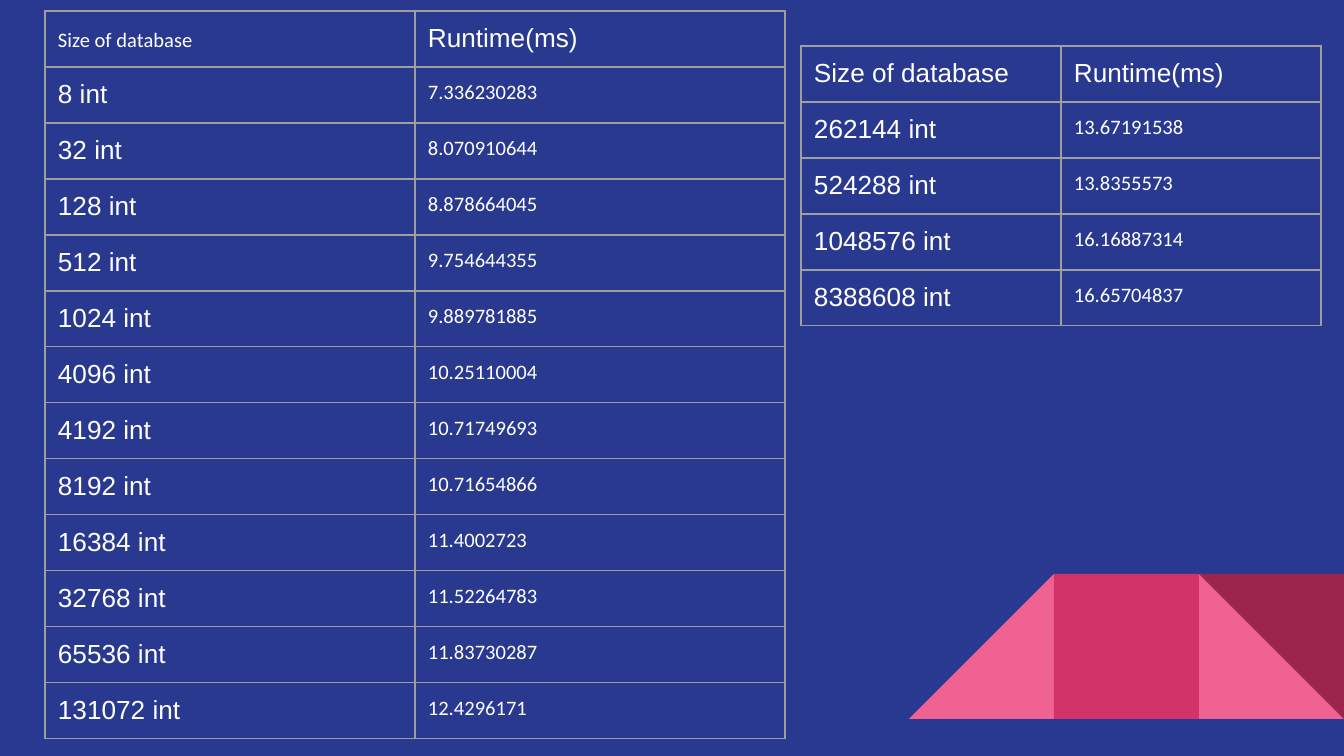
from dataclasses import dataclass

from lxml.etree import SubElement
from pptx import Presentation
from pptx.dml.color import RGBColor
from pptx.enum.shapes import MSO_SHAPE
from pptx.oxml.ns import qn
from pptx.util import Emu, Pt

SCALE = 914400 / 134.4
NAVY = RGBColor(0x2A, 0x39, 0x90)
WHITE = RGBColor(0xFF, 0xFF, 0xFF)
GREY = RGBColor(0x9E, 0x9E, 0x9E)
PINK = RGBColor(0xF0, 0x62, 0x92)
CRIMSON = RGBColor(0xD2, 0x33, 0x69)
MAROON = RGBColor(0x9C, 0x25, 0x4D)

ROW_H = 56
INSET = 13
TILE = 145
TILE_TOP = 574


@dataclass
class TextStyle:
    font: str
    size: int
    spacing: float = 1.0


LABEL = TextStyle("Arial", 14)
VALUE = TextStyle("Calibri", 11)
SMALL_HEADER = TextStyle("Calibri", 11, 1.15)


@dataclass
class RuntimeTable:
    left: int
    top: int
    col_w: int
    size_header: TextStyle
    rows: list[tuple[int, str]]


@dataclass
class Tile:
    column: int
    shape: MSO_SHAPE
    color: RGBColor
    flipped: bool = False
    rotation: int = 0


TABLES = [
    RuntimeTable(45, 11, 370, SMALL_HEADER, [
        (8, "7.336230283"),
        (32, "8.070910644"),
        (128, "8.878664045"),
        (512, "9.754644355"),
        (1024, "9.889781885"),
        (4096, "10.25110004"),
        (4192, "10.71749693"),
        (8192, "10.71654866"),
        (16384, "11.4002723"),
        (32768, "11.52264783"),
        (65536, "11.83730287"),
        (131072, "12.4296171"),
    ]),
    RuntimeTable(801, 46, 260, LABEL, [
        (262144, "13.67191538"),
        (524288, "13.8355573"),
        (1048576, "16.16887314"),
        (8388608, "16.65704837"),
    ]),
]

TILES = [
    Tile(2, MSO_SHAPE.RIGHT_TRIANGLE, PINK),
    Tile(0, MSO_SHAPE.RIGHT_TRIANGLE, PINK, flipped=True),
    Tile(1, MSO_SHAPE.RECTANGLE, CRIMSON),
    Tile(2, MSO_SHAPE.RIGHT_TRIANGLE, MAROON, rotation=180),
]


def px(n: int) -> Emu:
    return Emu(round(n * SCALE))


def add_borders(cell) -> None:
    tc_pr = cell._tc.get_or_add_tcPr()
    for side in ("a:lnL", "a:lnR", "a:lnT", "a:lnB"):
        ln = SubElement(tc_pr, qn(side), w=str(Pt(0.75)))
        fill = SubElement(ln, qn("a:solidFill"))
        SubElement(fill, qn("a:srgbClr"), val=str(GREY))


def fill_cell(cell, text: str, style: TextStyle) -> None:
    add_borders(cell)
    cell.fill.background()
    cell.margin_left = cell.margin_right = px(INSET)
    cell.margin_top = cell.margin_bottom = px(INSET)
    p = cell.text_frame.paragraphs[0]
    p.text = text
    p.line_spacing = style.spacing
    p.font.name = style.font
    p.font.size = Pt(style.size)
    p.font.color.rgb = WHITE


def draw_table(s, spec_table: RuntimeTable) -> None:
    t = spec_table
    n = len(t.rows) + 1
    table = s.shapes.add_table(n, 2, px(t.left), px(t.top),
                               px(2 * t.col_w), px(n * ROW_H)).table
    table.first_row = table.horz_banding = False
    for column in table.columns:
        column.width = px(t.col_w)
    for row in table.rows:
        row.height = px(ROW_H)
    fill_cell(table.cell(0, 0), "Size of database", t.size_header)
    fill_cell(table.cell(0, 1), "Runtime(ms)", LABEL)
    for i, (size, runtime) in enumerate(t.rows, start=1):
        fill_cell(table.cell(i, 0), f"{size} int", LABEL)
        fill_cell(table.cell(i, 1), runtime, VALUE)


def draw_tile(s, tile: Tile, slide_w: int) -> None:
    """Place a tile in the three-column strip that ends at the right edge."""
    left = slide_w - (3 - tile.column) * TILE
    sp = s.shapes.add_shape(tile.shape, px(left), px(TILE_TOP), px(TILE), px(TILE))
    sp.shadow.inherit = False
    sp.fill.solid()
    sp.fill.fore_color.rgb = tile.color
    sp.line.fill.background()
    sp.rotation = tile.rotation
    if tile.flipped:
        sp._element.spPr.xfrm.set("flipH", "1")


def main() -> None:
    slide_w, slide_h = 1344, 756
    prs = Presentation()
    prs.slide_width, prs.slide_height = px(slide_w), px(slide_h)
    s = prs.slides.add_slide(prs.slide_layouts[6])
    s.background.fill.solid()
    s.background.fill.fore_color.rgb = NAVY
    for tile in TILES:
        draw_tile(s, tile, slide_w)
    for table in TABLES:
        draw_table(s, table)
    prs.save("out.pptx")


if __name__ == "__main__":
    main()
